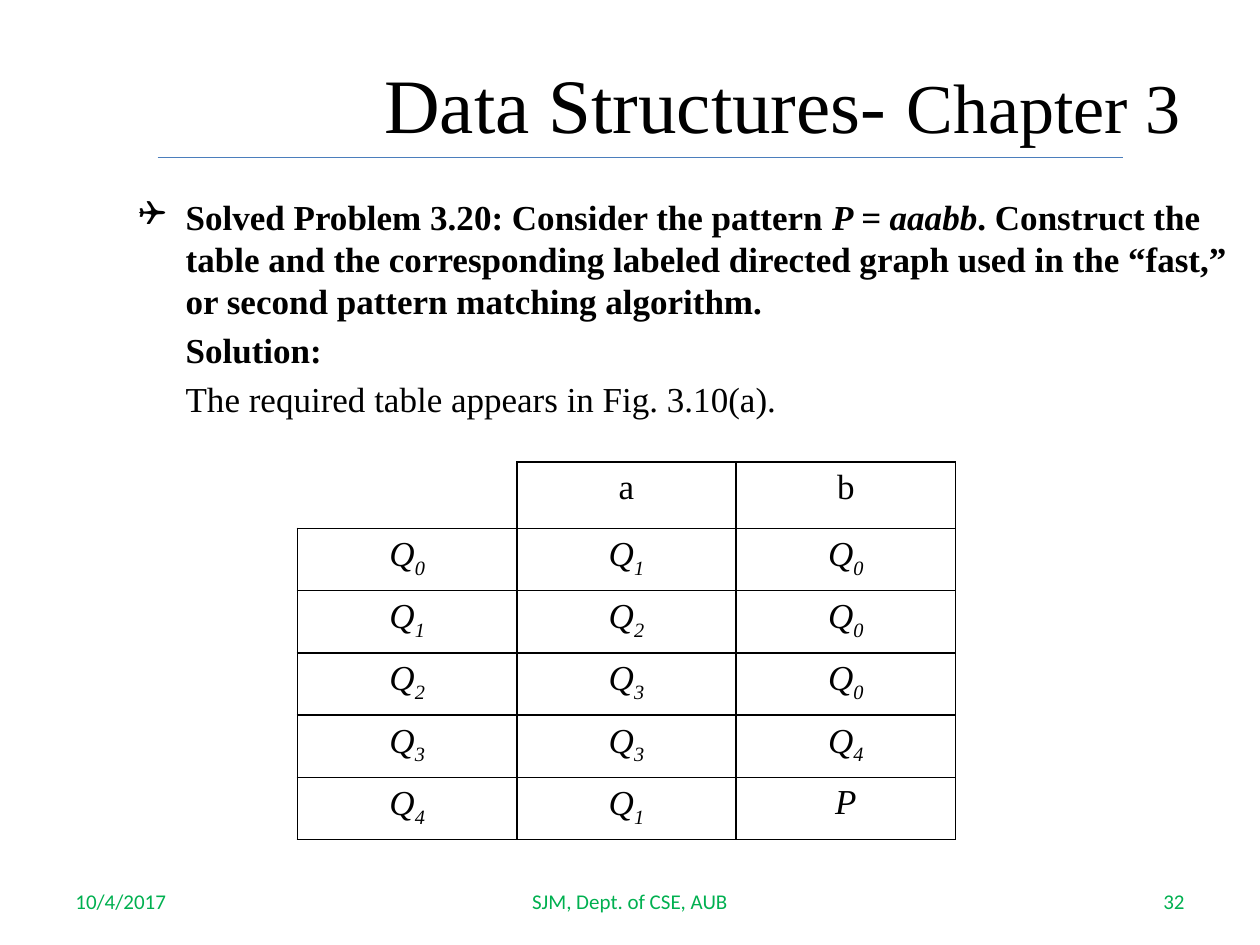
from lxml import etree
from pptx import Presentation
from pptx import util as u
from pptx.dml.color import RGBColor
from pptx.enum import shapes, text
from pptx.oxml import ns

Pt = u.Pt
COLORS = {"ink": "000000", "footer": "00B050", "rule": "4B7EBC"}
SERIF = {"name": "Times New Roman", "size": Pt(20), "color": "ink"}
FOOTER = {"name": "Calibri", "size": Pt(12), "color": "footer"}
ALIGN = text.PP_ALIGN
ANCHOR = text.MSO_ANCHOR

STATES = [
    ["", "a", "b"],
    ["Q0", "Q1", "Q0"],
    ["Q1", "Q2", "Q0"],
    ["Q2", "Q3", "Q0"],
    ["Q3", "Q3", "Q4"],
    ["Q4", "Q1", "P"],
]


def set_values(target, values):
    for name, value in values.items():
        setattr(target, name, value)


def add_run(paragraph, words, base, **extra):
    run = paragraph.add_run()
    run.text = words
    values = {**base, **extra}
    run.font.color.rgb = RGBColor.from_string(COLORS[values.pop("color")])
    set_values(run.font, values)
    return run


def add_text_box(slide, box, anchor):
    shape = slide.shapes.add_textbox(*map(Pt, box))
    set_values(shape.text_frame, {"word_wrap": True, "vertical_anchor": anchor})
    return shape.text_frame


def add_title(slide, box):
    left, top, width, height = map(Pt, box)
    title = slide.shapes.title
    set_values(title, {"left": left, "top": top, "width": width, "height": height})
    frame = title.text_frame
    set_values(frame, {"word_wrap": True, "vertical_anchor": ANCHOR.MIDDLE,
                       "auto_size": text.MSO_AUTO_SIZE.NONE})
    paragraph = frame.paragraphs[0]
    paragraph.alignment = ALIGN.CENTER
    add_run(paragraph, "Data Structures- ", SERIF, size=Pt(44))
    add_run(paragraph, "Chapter 3", SERIF, size=Pt(40))


def add_rule(slide, left, top, width):
    rule = slide.shapes.add_connector(
        shapes.MSO_CONNECTOR.STRAIGHT, Pt(left), Pt(top), Pt(left + width), Pt(top))
    rule.line.color.rgb = RGBColor.from_string(COLORS["rule"])
    rule.line.width = Pt(0.75)
    etree.SubElement(rule.element.spPr, ns.qn("a:effectLst"))


def add_problem(slide, box):
    frame = add_text_box(slide, box, ANCHOR.TOP)
    paragraphs = [
        [("Solved Problem 3.20: Consider the pattern ", {"bold": True}),
         ("P = aaabb", {"bold": True, "italic": True}),
         (". Construct the table and the corresponding labeled directed graph used in "
          "the “fast,” or second pattern matching algorithm.", {"bold": True})],
        [("Solution:", {"bold": True})],
        [("The required table appears in Fig. 3.10(a).", {})],
    ]
    for index, runs in enumerate(paragraphs):
        paragraph = frame.add_paragraph() if index else frame.paragraphs[0]
        paragraph.space_before = Pt(4)
        for words, extra in runs:
            add_run(paragraph, words, SERIF, **extra)
        properties = paragraph._p.get_or_add_pPr()
        properties.set("marL", str(Pt(27)))
        properties.set("indent", str(0 if index else -Pt(27)))
        if index == 0:
            etree.SubElement(properties, ns.qn("a:buFont"), typeface="Wingdings")
            etree.SubElement(properties, ns.qn("a:buChar"), char="❑")


def set_borders(cell, visible):
    properties = cell._tc.get_or_add_tcPr()
    for side in "LRTB":
        line = etree.SubElement(properties, ns.qn("a:ln" + side), w=str(Pt(1)))
        if side in visible:
            fill = etree.SubElement(line, ns.qn("a:solidFill"))
            etree.SubElement(fill, ns.qn("a:srgbClr"), val=COLORS["ink"])
        else:
            etree.SubElement(line, ns.qn("a:noFill"))


def fill_cell(cell, label, is_header):
    set_values(cell, {"margin_left": Pt(5), "margin_right": Pt(5),
                      "margin_top": 0, "margin_bottom": 0})
    set_borders(cell, "LRTB" if label else "RB")
    cell.fill.background()
    paragraph = cell.text_frame.paragraphs[0]
    set_values(paragraph, {"alignment": ALIGN.CENTER, "line_spacing": 1.15})
    if label:
        add_run(paragraph, label[0], SERIF, italic=not is_header)
    if label[1:]:
        subscript = add_run(paragraph, label[1:], SERIF, italic=True)
        subscript.font._element.set("baseline", "-25000")


def add_state_table(slide, box, header_height):
    left, top, width, height = box
    row_count, column_count = len(STATES), len(STATES[0])
    table = slide.shapes.add_table(row_count, column_count, *map(Pt, box)).table
    set_values(table, {"first_row": False, "horz_banding": False})
    for column in table.columns:
        column.width = Pt(width / column_count)
    for index, row in enumerate(table.rows):
        row.height = Pt((height - header_height) / (row_count - 1) if index else header_height)
        for cell, label in zip(row.cells, STATES[index]):
            fill_cell(cell, label, index == 0)


def add_footer(slide, box):
    left, top, width, height = box
    parts = [
        ("10/4/2017", 0, 168, ALIGN.LEFT),
        ("SJM, Dept. of CSE, AUB", (width - 228) / 2, 228, ALIGN.CENTER),
        ("32", width - 168, 168, ALIGN.RIGHT),
    ]
    for words, offset, part_width, alignment in parts:
        frame = add_text_box(slide, (left + offset, top, part_width, height), ANCHOR.MIDDLE)
        frame.paragraphs[0].alignment = alignment
        add_run(frame.paragraphs[0], words, FOOTER)


def main():
    presentation = Presentation()
    set_values(presentation, {"slide_width": Pt(720), "slide_height": Pt(540)})
    slide = presentation.slides.add_slide(presentation.slide_layouts[5])
    add_footer(slide, (36, 500.5, 648, 28.75))
    add_title(slide, (174, 27, 546, 63))
    add_problem(slide, (72, 108, 648, 288))
    add_rule(slide, 90, 90, 552)
    add_state_table(slide, (170, 264, 376, 216), 38)
    presentation.save("out.pptx")


if __name__ == "__main__":
    main()
